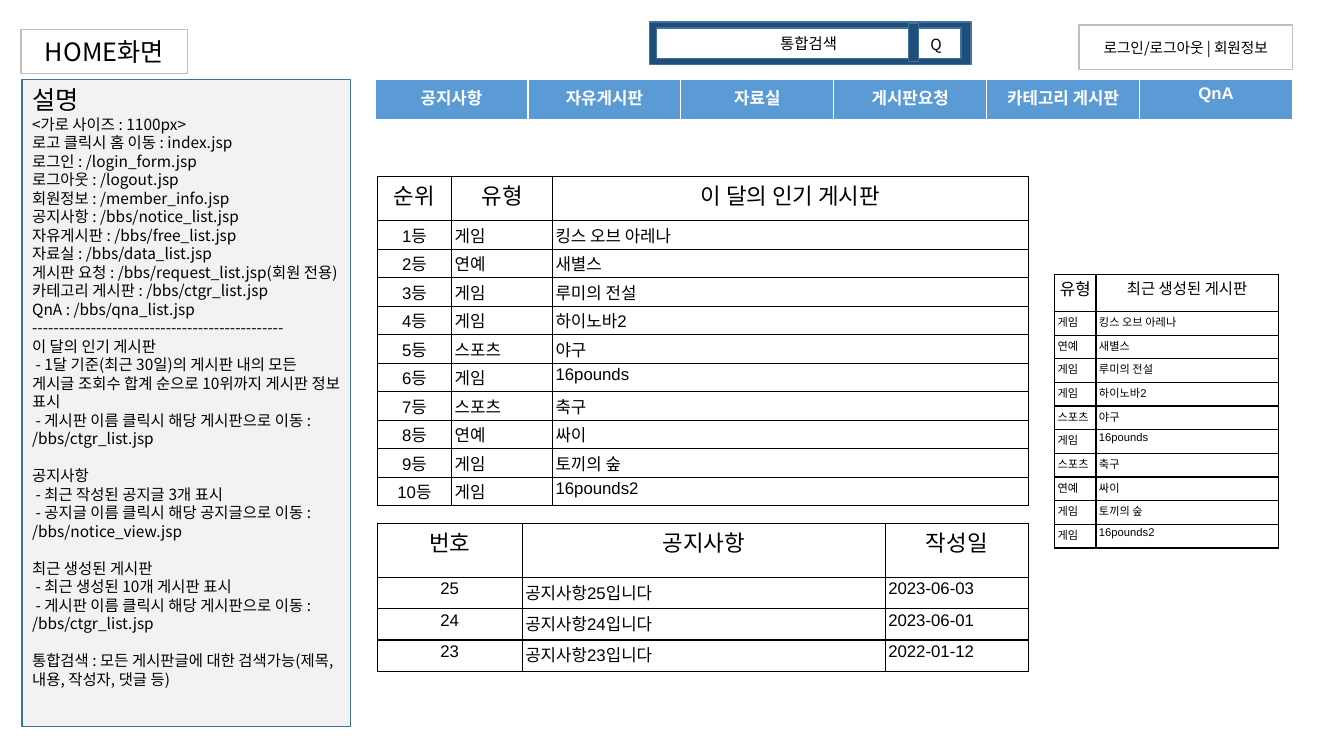
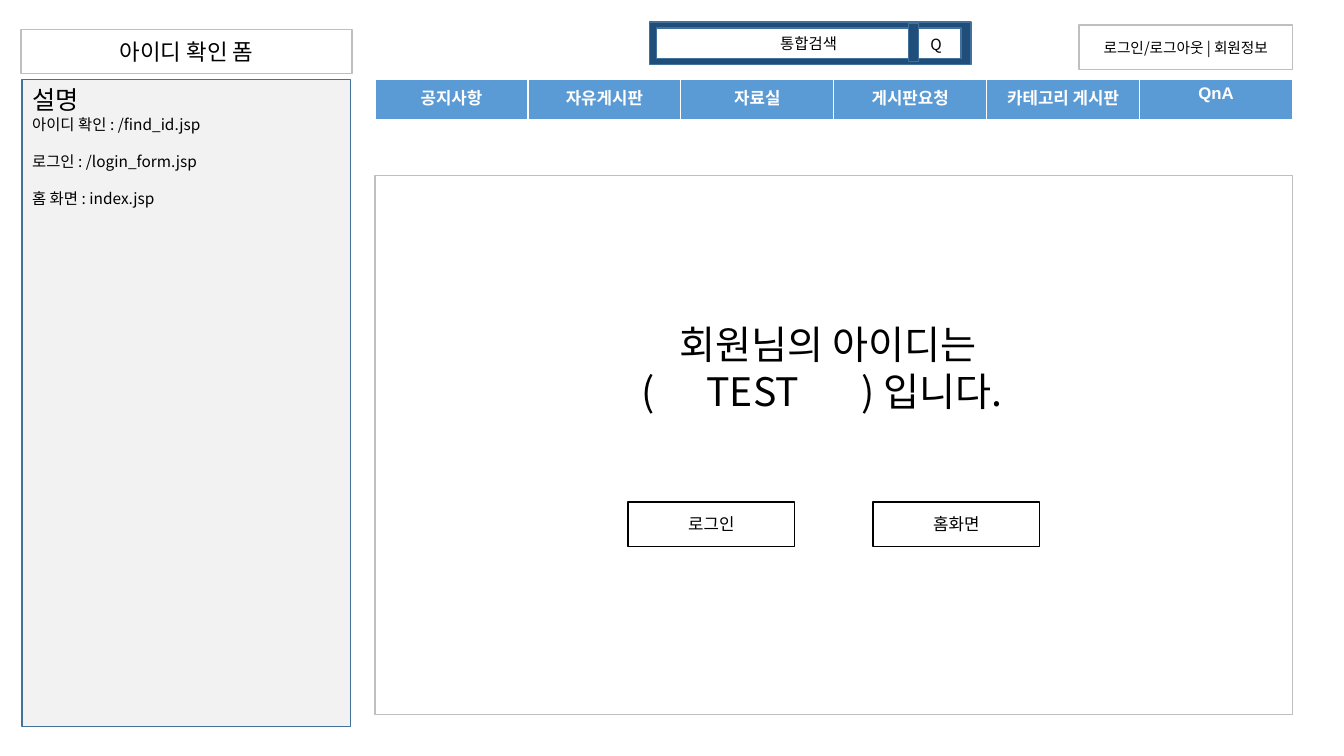
import dataclasses

import lxml.etree
import pptx
import pptx.dml.color
import pptx.enum.shapes
import pptx.enum.text
import pptx.oxml
import pptx.oxml.ns
import pptx.util


@dataclasses.dataclass(frozen=True)
class Theme:
    white: str = "FFFFFF"
    black: str = "000000"
    grey: str = "BFBFBF"
    pale: str = "F2F2F2"
    navy: str = "1E4E79"
    edge: str = "42719B"
    blue: str = "5B9BD5"
    sans: str = "Noto Sans CJK KR"
    cell: str = "Arial"
    big: float = 28
    title: float = 18
    head: float = 16
    body: float = 12
    note: float = 11
    link: float = 10.5
    tiny: float = 8
    pitch: float = 1.2


look = Theme()
px = 9144
rgb = pptx.dml.color.RGBColor.from_string
qn = pptx.oxml.ns.qn
left = pptx.enum.text.PP_ALIGN.LEFT
mid = pptx.enum.text.PP_ALIGN.CENTER
top = pptx.enum.text.MSO_ANCHOR.TOP
center = pptx.enum.text.MSO_ANCHOR.MIDDLE
rect = pptx.enum.shapes.MSO_SHAPE.RECTANGLE


def write(frame, lines, align, face=look.sans, tint=look.black, bold=False, pitch=None, stops=()):
    frame.word_wrap = True
    for i, (words, size, gap) in enumerate(lines):
        para = frame.paragraphs[0] if i == 0 else frame.add_paragraph()
        para.text = words
        para.alignment = align
        if "\t" in words:
            para.alignment = left
            tabs = lxml.etree.SubElement(para._p.get_or_add_pPr(), qn("a:tabLst"))
            for stop in stops:
                lxml.etree.SubElement(tabs, qn("a:tab"), pos=str(stop * px), algn="l")
        if pitch:
            para.line_spacing = pptx.util.Pt(size * pitch)
        if gap:
            para.space_before = pptx.util.Pt(gap)
        for run in para.runs:
            run.font.size = pptx.util.Pt(size)
            run.font.name = face
            run.font.bold = bold
            run.font.color.rgb = rgb(tint)
            lxml.etree.SubElement(run._r.get_or_add_rPr(), qn("a:ea"), typeface=look.sans)


def grid(slide, x, y, wides, high, first, rows, heads, size, mids, ink, fill=None, pad=(3, 2), low=1):
    table = slide.shapes.add_table(
        len(rows), len(wides), x * px, y * px, int(sum(wides) * px), high * px).table
    table.first_row = table.horz_banding = False
    for col, wide in zip(table.columns, wides):
        col.width = int(wide * px)
    for r, row in enumerate(rows):
        table.rows[r].height = first * px if r == 0 else (high - first) * px // (len(rows) - 1)
        for c, words in enumerate(row):
            cell = table.cell(r, c)
            cell.margin_left = cell.margin_right = pad[0] * px
            cell.margin_top = cell.margin_bottom = pad[1] * px
            props = cell._tc.get_or_add_tcPr()
            for side in "LRTB":
                wide = pptx.util.Pt(low if side == "B" else 1)
                line = lxml.etree.SubElement(props, qn("a:ln" + side), w=str(wide))
                paint = lxml.etree.SubElement(line, qn("a:solidFill"))
                lxml.etree.SubElement(paint, qn("a:srgbClr"), val=ink)
            if fill:
                cell.fill.solid()
                cell.fill.fore_color.rgb = rgb(fill)
            else:
                cell.fill.background()
            align = mid if r == 0 or c in mids else left
            write(cell.text_frame, [(words, size if r else heads[c], 0)], align,
                  look.cell, look.white if fill else look.black, bool(fill))


menu = ["공지사항", "자유게시판", "자료실", "게시판요청", "카테고리 게시판", "QnA"]
boards = [
    ("게임", "킹스 오브 아레나"),
    ("연예", "새별스"),
    ("게임", "루미의 전설"),
    ("게임", "하이노바2"),
    ("스포츠", "야구"),
    ("게임", "16pounds"),
    ("스포츠", "축구"),
    ("연예", "싸이"),
    ("게임", "토끼의 숲"),
    ("게임", "16pounds2"),
]
ranks = [(f"{i}등", *board) for i, board in enumerate(boards, 1)]
news = [(n, f"공지사항{n}입니다", day) for n, day in
        [("25", "2023-06-03"), ("24", "2023-06-01"), ("23", "2022-01-12")]]

home = [
    ["<가로 사이즈 : 1100px>",
     "로고 클릭시 홈 이동 : index.jsp",
     "로그인 : /login_form.jsp",
     "로그아웃 : /logout.jsp",
     "회원정보 : /member_info.jsp",
     "공지사항 : /bbs/notice_list.jsp",
     "자유게시판 : /bbs/free_list.jsp",
     "자료실 : /bbs/data_list.jsp",
     "게시판 요청 : /bbs/request_list.jsp(회원 전용)",
     "카테고리 게시판 : /bbs/ctgr_list.jsp",
     "QnA : /bbs/qna_list.jsp",
     "-----------------------------------------------",
     "이 달의 인기 게시판",
     " - 1달 기준(최근 30일)의 게시판 내의 모든 게시글 조회수 합계 순으로 10위까지 게시판 정보 표시",
     " - 게시판 이름 클릭시 해당 게시판으로 이동 : /bbs/ctgr_list.jsp"],
    ["공지사항",
     " - 최근 작성된 공지글 3개 표시",
     " - 공지글 이름 클릭시 해당 공지글으로 이동 : /bbs/notice_view.jsp"],
    ["최근 생성된 게시판",
     " - 최근 생성된 10개 게시판 표시",
     " - 게시판 이름 클릭시 해당 게시판으로 이동 : /bbs/ctgr_list.jsp"],
    ["통합검색 : 모든 게시판글에 대한 검색가능(제목, 내용, 작성자, 댓글 등)"],
]
find = [["아이디 확인 : /find_id.jsp"], ["로그인 : /login_form.jsp"], ["홈 화면 : index.jsp"]]

reply = [("회원님의 아이디는", look.big, 0), ("\t(\tTEST\t) 입니다.", look.big, 0)]
form = [
    (372, 174, 910, 535, look.white, look.grey, [], mid, center),
    (571, 313, 500, 151, None, None, reply, mid, top),
]
for x, words in [(623, "로그인"), (866, "홈화면")]:
    form.append((x, 498, 165, 44, look.white, look.black, [(words, look.body, 0)], mid, center))

search = [
    (644, 22, 319, 42, look.navy, look.edge, [], mid, center),
    (651, 28, 302, 30, look.white, look.edge, [("통합검색", look.note, 0)], mid, center),
    (901, 23, 10, 38, look.navy, look.edge, [], mid, center),
    (904, 24, 49, 40, None, None, [("Q", look.note, 0)], mid, center),
]
login = [("로그인/로그아웃 | 회원정보", look.link, 0)]

deck = pptx.Presentation()
deck.slide_width = 1333 * px
deck.slide_height = 750 * px

pages = [
    ("HOME화면", look.title, 165, home, []),
    ("아이디 확인 폼", look.head, 328, find, form),
]
for name, size, wide, notes, extra in pages:
    slide = deck.slides.add_slide(deck.slide_layouts[6])
    lines = [("설명", look.title, 0)]
    for g, group in enumerate(notes):
        for i, words in enumerate(group):
            gap = look.note * look.pitch if g and i == 0 else 0
            lines.append((words, look.note, gap))
    parts = [
        (1070, 25, 212, 44, look.white, look.grey, login, mid, center),
        (21, 29, wide, 44, look.white, look.grey, [(name, size, 0)], mid, center),
        (22, 79, 326, 642, look.pale, look.edge, lines, left, top),
        *extra,
    ]
    group = slide.shapes.add_group_shape()
    for host, items in [(group.shapes, search), (slide.shapes, parts)]:
        for x, y, w, h, fill, ink, text, align, anchor in items:
            spot = [n * px for n in (x, y, w, h)]
            if fill:
                shape = host.add_shape(rect, *spot)
                shape.shadow.inherit = False
                shape.fill.solid()
                shape.fill.fore_color.rgb = rgb(fill)
                shape.line.color.rgb = rgb(ink)
                shape.line.width = pptx.util.Pt(1)
            else:
                shape = host.add_textbox(*spot)
            frame = shape.text_frame
            frame.margin_left = frame.margin_right = 10 * px
            frame.margin_top = frame.margin_bottom = 5 * px
            frame.vertical_anchor = anchor
            write(frame, text, align, pitch=look.pitch, stops=(55, 120, 274))
    grid(slide, 372, 79, [910 / 6] * 6, 41, 41, [menu], [look.body] * 6, look.body, (),
         look.white, look.blue, (10, 5), 3)
    if notes is home:
        grid(slide, 374, 175, [74, 100, 472], 327, 44,
             [("순위", "유형", "이 달의 인기 게시판"), *ranks],
             [look.head] * 3, look.body, (0,), look.black)
        grid(slide, 374, 519, [144, 360, 142], 147, 54,
             [("번호", "공지사항", "작성일"), *news],
             [look.head] * 3, look.body, (0,), look.black)
        grid(slide, 1046, 272, [41, 181], 272, 37,
             [("유형", "최근 생성된 게시판"), *boards],
             [look.body, look.note], look.tiny, (), look.black)

deck.save("out.pptx")
